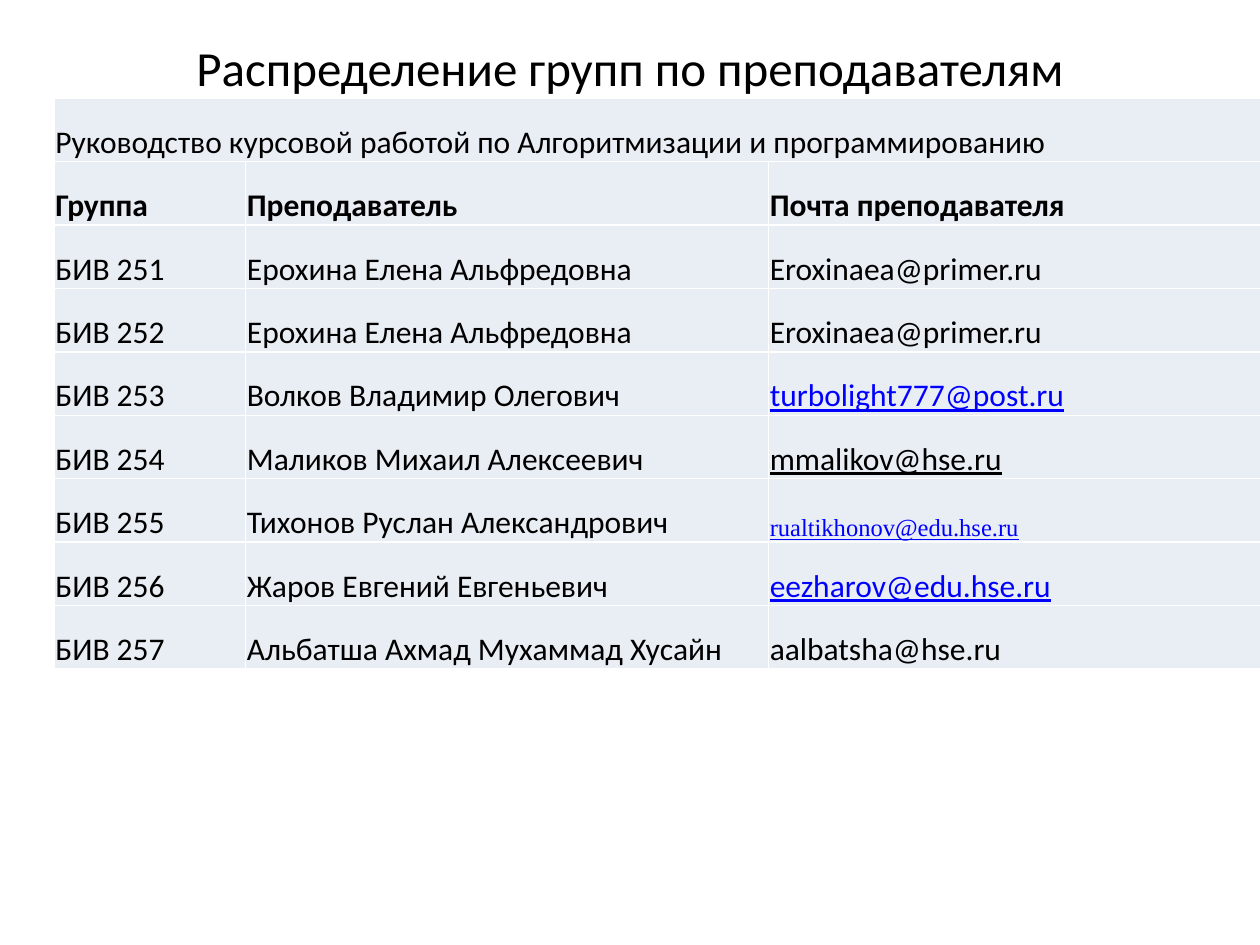
from dataclasses import dataclass

from lxml.etree import SubElement
from pptx import Presentation
from pptx.dml.color import RGBColor
from pptx.enum.text import MSO_ANCHOR, PP_ALIGN
from pptx.oxml.ns import qn
from pptx.util import Inches, Pt


@dataclass(frozen=True)
class Theme:
    ink: str = "000000"
    link: str = "0000FF"
    cell: str = "E9EDF4"
    border: str = "FFFFFF"
    font: str = "Calibri"
    serif: str = "Times New Roman"
    title_size: int = 28
    body_size: int = 18
    small_size: int = 14


theme = Theme()


def add_run(paragraph, text, size=theme.body_size, font=theme.font,
            color=theme.ink, bold=False, underline=False):
    run = paragraph.add_run()
    run.text = text
    run.font.size = Pt(size)
    run.font.name = font
    run.font.color.rgb = RGBColor.from_string(color)
    run.font.bold = bold
    run.font.underline = underline


def add_borders(cell):
    properties = cell._tc.get_or_add_tcPr()
    for side in ("lnL", "lnR", "lnT", "lnB"):
        line = SubElement(properties, qn(f"a:{side}"), w=str(Pt(1)))
        fill = SubElement(line, qn("a:solidFill"))
        SubElement(fill, qn("a:srgbClr"), val=theme.border)


presentation = Presentation()
presentation.slide_width = Inches(10)
presentation.slide_height = Inches(7.5)
slide = presentation.slides.add_slide(presentation.slide_layouts[6])

title = slide.shapes.add_textbox(Inches(0.5), Inches(0.3), Inches(9), Inches(0.46))
title.text_frame.word_wrap = True
title.text_frame.vertical_anchor = MSO_ANCHOR.MIDDLE
title_line = title.text_frame.paragraphs[0]
title_line.alignment = PP_ALIGN.CENTER
add_run(title_line, "Распределение групп по преподавателям", size=theme.title_size)

link = {"color": theme.link, "underline": True}
bold = {"bold": True}
assignments = [
    ("Ерохина Елена Альфредовна", "Eroxinaea@primer.ru", {}),
    ("Ерохина Елена Альфредовна", "Eroxinaea@primer.ru", {}),
    ("Волков Владимир Олегович", "turbolight777@post.ru", link),
    ("Маликов Михаил Алексеевич", "mmalikov@hse.ru", {"underline": True}),
    ("Тихонов Руслан Александрович", "rualtikhonov@edu.hse.ru",
     {**link, "size": theme.small_size, "font": theme.serif}),
    ("Жаров Евгений Евгеньевич", "eezharov@edu.hse.ru", link),
    ("Альбатша Ахмад Мухаммад Хусайн", "aalbatsha@hse.ru", {}),
]
rows = [
    [("Руководство курсовой работой по Алгоритмизации и программированию", {}),
     ("", {}), ("", {})],
    [("Группа", bold), ("Преподаватель", bold), ("Почта преподавателя", bold)],
]
for number, (teacher, email, email_style) in enumerate(assignments, start=251):
    rows.append([(f"БИВ {number}", {}), (teacher, {}), (email, email_style)])

column_widths = [1.52, 4.15, 3.94]
groups = slide.shapes.add_table(
    len(rows), len(column_widths), Inches(0.43), Inches(0.78),
    Inches(sum(column_widths)), Inches(4.53)).table
for column, width in zip(groups.columns, column_widths):
    column.width = Inches(width)
groups.cell(0, 0).merge(groups.cell(0, 2))

for row_index, row in enumerate(rows):
    for column_index, (text, style) in enumerate(row):
        cell = groups.cell(row_index, column_index)
        add_borders(cell)
        cell.fill.solid()
        cell.fill.fore_color.rgb = RGBColor.from_string(theme.cell)
        cell.vertical_anchor = MSO_ANCHOR.BOTTOM
        cell.margin_left = cell.margin_right = cell.margin_top = Inches(0.01)
        cell.margin_bottom = Inches(0)
        if text:
            add_run(cell.text_frame.paragraphs[0], text, **style)

presentation.save("out.pptx")
